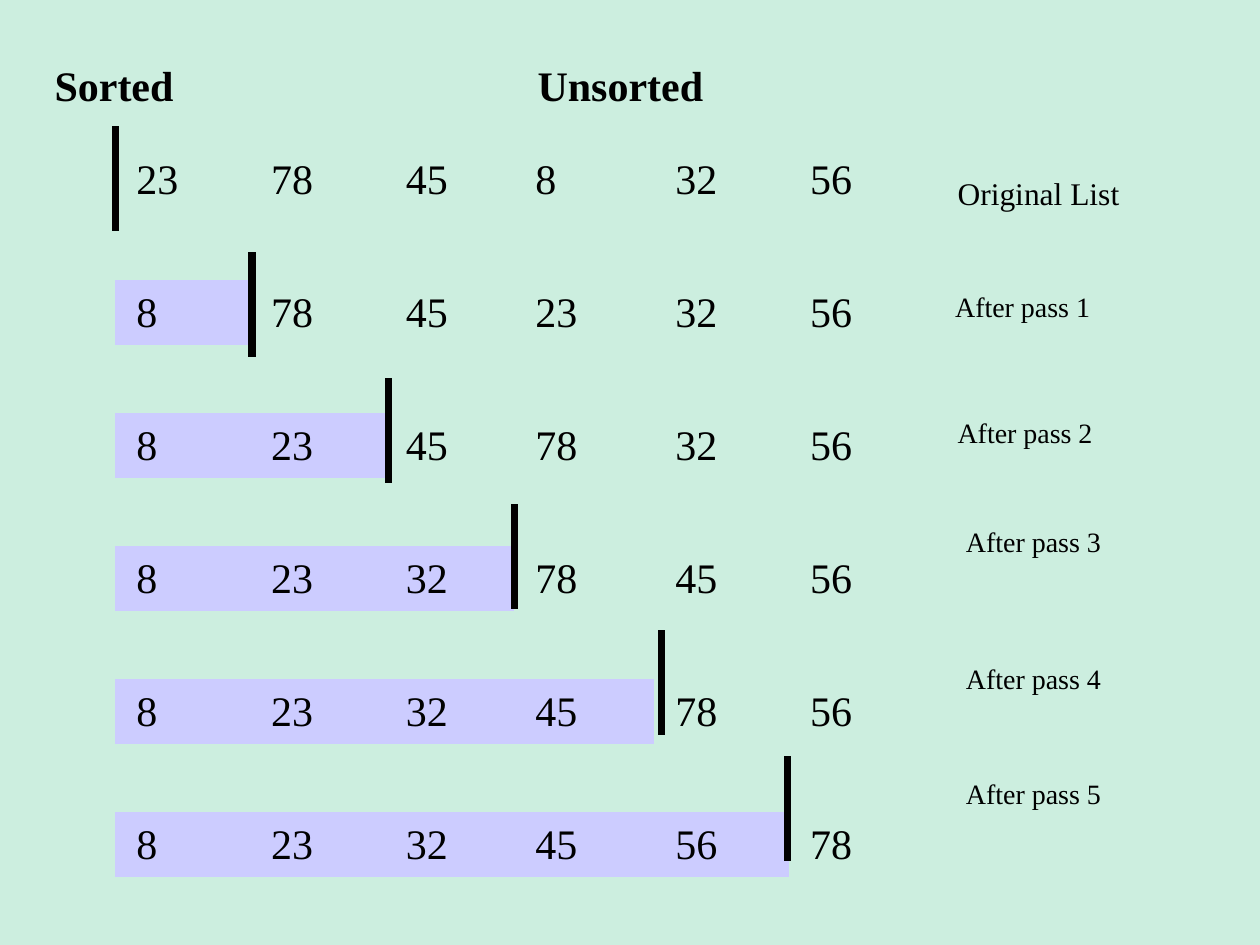
from pptx import Presentation
from pptx.dml.color import RGBColor as RGB
from pptx.enum.shapes import MSO_CONNECTOR as LINE
from pptx.oxml.ns import qn
from pptx.util import Pt
from lxml.etree import SubElement as sub

FONT = "Times New Roman"
BARE = "{2D5ABB26-0587-4C30-8999-92F81FD0307C}"
PASSES = [
    (23, 78, 45, 8, 32, 56),
    (8, 78, 45, 23, 32, 56),
    (8, 23, 45, 78, 32, 56),
    (8, 23, 32, 78, 45, 56),
    (8, 23, 32, 45, 78, 56),
    (8, 23, 32, 45, 56, 78),
]
WIDTHS = [77, 77, 74, 80, 77, 77]
WALLS = [0, 78, 156, 228, 312, 384]
NOTES = [
    ("Original List", 547.2, 99.4, 18),
    ("After pass 1", 545.8, 165.6, 16),
    ("After pass 2", 547.2, 237.6, 16),
    ("After pass 3", 552, 300, 16),
    ("After pass 4", 552, 378, 16),
    ("After pass 5", 552, 444, 16),
]


def paint(fmt, code):
    """Give a fill a solid colour."""
    fmt.solid()
    fmt.fore_color.rgb = RGB.from_string(code)


def style(para, size, bold=False):
    """Format the runs of a paragraph."""
    for run in para.runs:
        run.font.name = FONT
        run.font.size = Pt(size)
        run.font.bold = bold
        run.font.color.rgb = RGB.from_string("000000")


def label(slide, text, x, y, w, h, size, bold=False):
    """Place a text box whose words start at the given corner."""
    frame = slide.shapes.add_textbox(Pt(x), Pt(y), Pt(w), Pt(h)).text_frame
    frame.word_wrap = True
    frame.margin_left = frame.margin_right = 0
    frame.margin_top = frame.margin_bottom = 0
    frame.text = text
    style(frame.paragraphs[0], size, bold)


def fill_cell(cell, value, done):
    """Write one number and shade it once it is sorted."""
    cell.margin_left, cell.margin_top = Pt(12), Pt(8.6)
    cell.margin_right, cell.margin_bottom = Pt(7.2), Pt(3.6)
    para = cell.text_frame.paragraphs[0]
    para.text = str(value)
    para.line_spacing = 0.86
    para.space_before = Pt(6)
    style(para, 24)
    if done:
        paint(cell.fill, "CCCCFF")


def grid(slide, x, y, high, gap):
    """Draw the list after each pass, with an empty row between passes."""
    count = 2 * len(PASSES) - 1
    total = len(PASSES) * high + (len(PASSES) - 1) * gap
    table = slide.shapes.add_table(
        count, len(WIDTHS), Pt(x), Pt(y), Pt(sum(WIDTHS)), Pt(total)).table
    table.first_row = table.horz_banding = False
    table._tbl.tblPr.find(qn("a:tableStyleId")).text = BARE
    for col, width in zip(table.columns, WIDTHS):
        col.width = Pt(width)
    for i, row in enumerate(table.rows):
        row.height = Pt(gap if i % 2 else high)
        for cell in row.cells:
            cell.fill.background()
    for i, values in enumerate(PASSES):
        for j, value in enumerate(values):
            fill_cell(table.cell(2 * i, j), value, j < i)


def walls(slide, x, y, step, high):
    """Draw the bars that part sorted from unsorted numbers."""
    for i, dx in enumerate(WALLS):
        top = y + i * step
        bar = slide.shapes.add_connector(
            LINE.STRAIGHT, Pt(x + dx), Pt(top), Pt(x + dx), Pt(top + high))
        bar.line.width = Pt(4.5)
        paint(bar.line.fill, "000000")
        sub(bar._element.spPr, qn("a:effectLst"))


def build():
    """Build and save the selection sort slide."""
    deck = Presentation()
    deck.slide_width, deck.slide_height = Pt(720), Pt(540)
    slide = deck.slides.add_slide(deck.slide_layouts[6])
    paint(slide.background.fill, "CCEEDF")
    grid(slide, 66, 84.2, 37.2, 38.8)
    for text, x, y, size in NOTES:
        label(slide, text, x, y, 135, 27, size)
    for text, x in (("Sorted", 31.2), ("Unsorted", 307.2)):
        label(slide, text, x, 33.8, 114, 36, 24, True)
    walls(slide, 66, 72, 72, 60)
    deck.save("out.pptx")


build()
